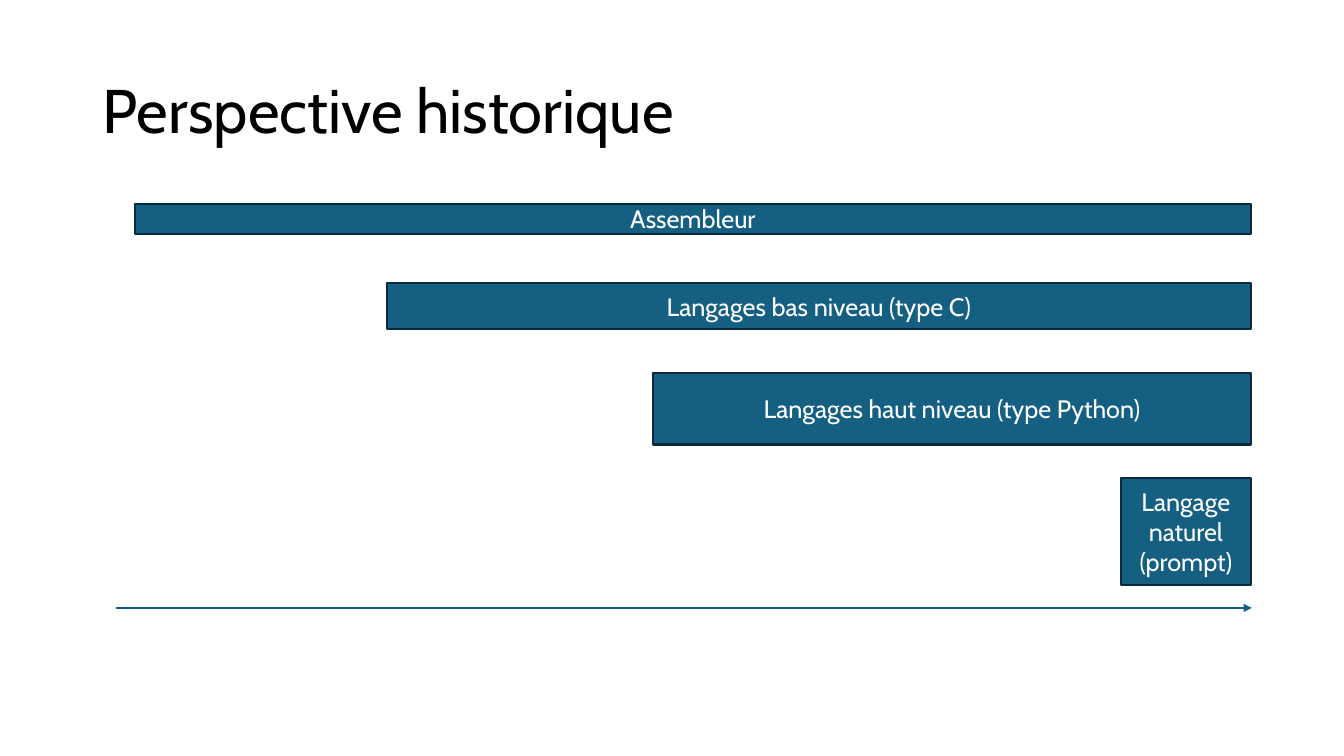
from pptx import Presentation
from pptx.dml.color import RGBColor
from pptx.enum.shapes import MSO_CONNECTOR, MSO_SHAPE
from pptx.enum.text import MSO_ANCHOR, MSO_AUTO_SIZE, PP_ALIGN
from pptx.oxml.ns import qn
from pptx.util import Pt
from lxml.etree import SubElement

# Content: label, left, top, height (points)
TITLE = "Perspective historique"
BARS = [
    ("Assembleur", 96.5, 145.5, 21.6),
    ("Langages bas niveau (type C)", 276.5, 202.3, 32.4),
    ("Langages haut niveau (type Python)", 466.5, 266.4, 51.1),
    ("Langage naturel (prompt)", 800.6, 341.3, 76.3),
]
RIGHT = 893.5
AXIS = {"left": 82.8, "right": 894.2, "y": 434.2}
COLORS = {"fill": "156082", "edge": "092A39", "text": "FFFFFF", "title": "000000"}
FRAME = {
    "word_wrap": True,
    "auto_size": MSO_AUTO_SIZE.NONE,
    "vertical_anchor": MSO_ANCHOR.MIDDLE,
}


def color(name):
    return RGBColor.from_string(COLORS[name])


def assign(item, values):
    for key, value in values.items():
        setattr(item, key, value)


def write(shape, text, size, hue, para):
    frame = shape.text_frame
    frame.text = text
    assign(frame, FRAME)
    line = frame.paragraphs[0]
    assign(line, para)
    font = line.runs[0].font
    assign(font, {"name": "Cabin", "size": Pt(size)})
    font.color.rgb = color(hue)


def stroke(shape, hue):
    shape.line.color.rgb = color(hue)
    shape.line.width = Pt(1.5)


deck = Presentation()
assign(deck, {"slide_width": Pt(960), "slide_height": Pt(540)})
slide = deck.slides.add_slide(deck.slide_layouts[5])
shapes = slide.shapes

# Title
title = shapes.title
assign(title, {"left": Pt(66), "top": Pt(28.8), "width": Pt(828), "height": Pt(104.4)})
write(title, TITLE, 44, "title", {"alignment": PP_ALIGN.LEFT, "line_spacing": 0.9})

# Time arrow
y = Pt(AXIS["y"])
arrow = shapes.add_connector(
    MSO_CONNECTOR.STRAIGHT, Pt(AXIS["left"]), y, Pt(AXIS["right"]), y
)
stroke(arrow, "fill")
SubElement(arrow.line._get_or_add_ln(), qn("a:tailEnd"), type="triangle")
SubElement(arrow._element.spPr, qn("a:effectLst"))

# Language bars, all ending at the right edge
for label, left, top, height in BARS:
    bar = shapes.add_shape(
        MSO_SHAPE.RECTANGLE, Pt(left), Pt(top), Pt(RIGHT - left), Pt(height)
    )
    bar.shadow.inherit = False
    bar.fill.solid()
    bar.fill.fore_color.rgb = color("fill")
    stroke(bar, "edge")
    write(bar, label, 18, "text", {"alignment": PP_ALIGN.CENTER})

deck.save("out.pptx")
